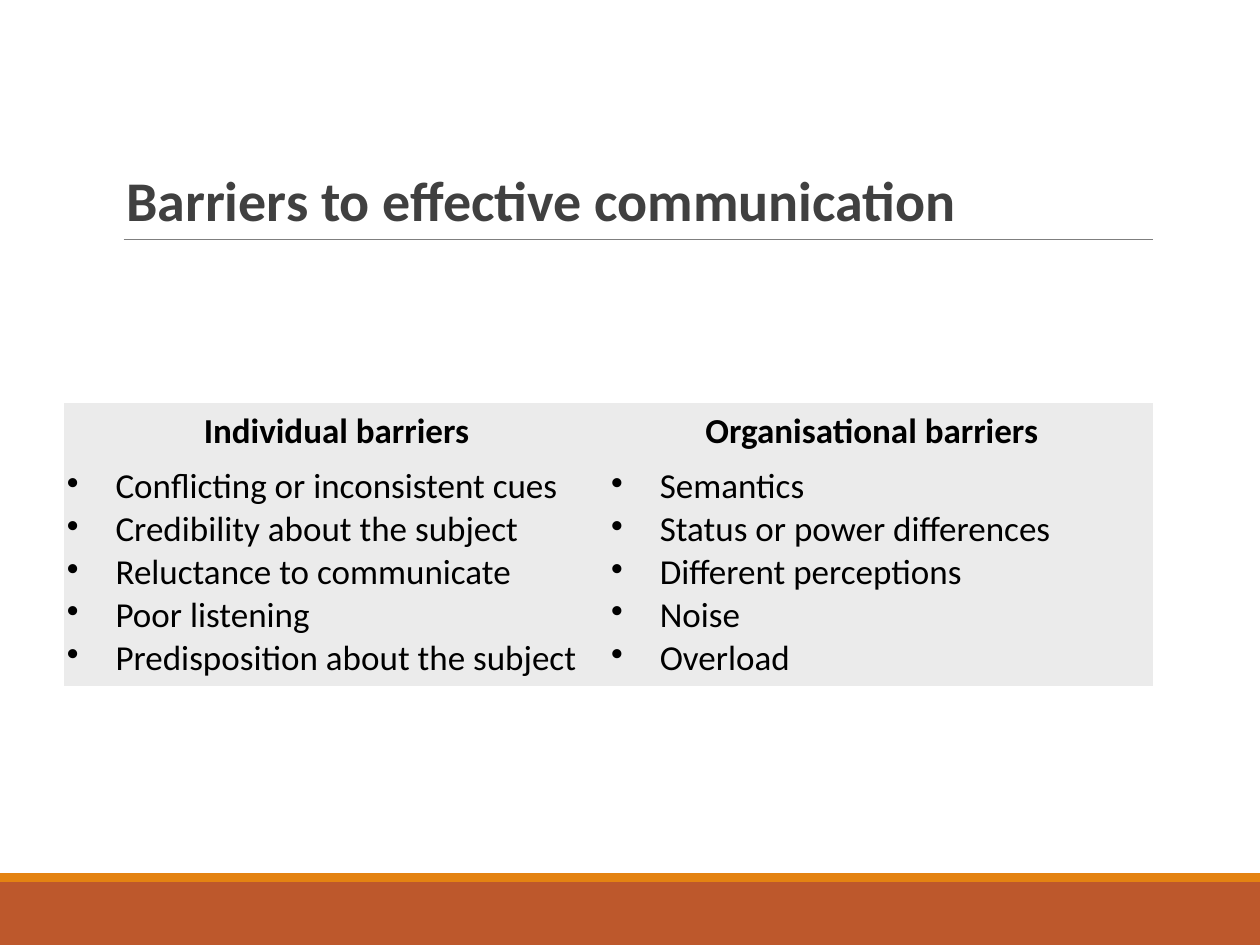
from lxml.etree import SubElement
from pptx import Presentation
from pptx.dml.color import RGBColor
from pptx.enum.shapes import MSO_CONNECTOR as Connector, MSO_SHAPE as Shape
from pptx.enum.text import MSO_ANCHOR as Anchor, MSO_AUTO_SIZE as AutoSize, PP_ALIGN as Align
from pptx.oxml.ns import qn
from pptx.util import Cm, Pt

NO_GRID_STYLE = "{2D5ABB26-0587-4C30-8999-92F81FD0307C}"
BARRIERS = {
    "Individual barriers": [
        "Conflicting or inconsistent cues",
        "Credibility about the subject",
        "Reluctance to communicate",
        "Poor listening",
        "Predisposition about the subject",
    ],
    "Organisational barriers": [
        "Semantics",
        "Status or power differences",
        "Different perceptions",
        "Noise",
        "Overload",
    ],
}


def color(value):
    return RGBColor.from_string(value)


class SlideBuilder:
    font = "Calibri"
    text_color = "000000"
    cell_fill = "EBEBEB"
    bullet_indent = Cm(0.98)

    def __init__(self, presentation):
        self.slide = presentation.slides.add_slide(presentation.slide_layouts[5])

    def run(self, paragraph, text, size, bold=False, text_color=None):
        run = paragraph.add_run()
        run.text = text
        run.font.name = self.font
        run.font.size = Pt(size)
        run.font.bold = bold
        run.font.color.rgb = color(text_color or self.text_color)

    def title(self, text, left, top, width, height):
        shape = self.slide.shapes.title
        shape.left, shape.top = Cm(left), Cm(top)
        shape.width, shape.height = Cm(width), Cm(height)
        frame = shape.text_frame
        frame.auto_size = AutoSize.NONE
        frame.vertical_anchor = Anchor.BOTTOM
        paragraph = frame.paragraphs[0]
        paragraph.alignment = Align.LEFT
        paragraph.line_spacing = 0.85
        self.run(paragraph, text, 32, True, "404040")

    def band(self, top, height, fill):
        shape = self.slide.shapes.add_shape(Shape.RECTANGLE, 0, Cm(top), Cm(25.4), Cm(height))
        shape.shadow.inherit = False
        shape.fill.solid()
        shape.fill.fore_color.rgb = color(fill)
        shape.line.fill.background()

    def rule(self, left, right, top):
        line = self.slide.shapes.add_connector(
            Connector.STRAIGHT, Cm(left), Cm(top), Cm(right), Cm(top))
        line.line.color.rgb = color("7F7F7F")
        line.line.width = Pt(0.5)
        SubElement(line._element.spPr, qn("a:effectLst"))

    def bullet(self, paragraph):
        properties = paragraph._p.get_or_add_pPr()
        properties.set("marL", str(self.bullet_indent))
        properties.set("indent", str(-self.bullet_indent))
        SubElement(properties, qn("a:buChar")).set("char", "•")

    def cell(self, cell, lines, heading=False):
        cell.fill.solid()
        cell.fill.fore_color.rgb = color(self.cell_fill)
        cell.vertical_anchor = Anchor.MIDDLE
        cell.margin_left = cell.margin_right = Cm(0.05)
        cell.margin_top = cell.margin_bottom = Cm(0.13)
        frame = cell.text_frame
        for index, text in enumerate(lines):
            paragraph = frame.add_paragraph() if index else frame.paragraphs[0]
            if heading:
                paragraph.alignment = Align.CENTER
            else:
                self.bullet(paragraph)
            self.run(paragraph, text, 20, heading)

    def table(self, columns, left, top, width, row_heights):
        frame = self.slide.shapes.add_table(
            len(row_heights), len(columns), Cm(left), Cm(top), Cm(width), Cm(sum(row_heights)))
        table = frame.table
        table.first_row = table.horz_banding = False
        table._tbl.tblPr.find(qn("a:tableStyleId")).text = NO_GRID_STYLE
        for row, height in zip(table.rows, row_heights):
            row.height = Cm(height)
        for index, (heading, items) in enumerate(columns.items()):
            self.cell(table.cell(0, index), [heading], heading=True)
            self.cell(table.cell(1, index), items)
        return table


def main():
    presentation = Presentation()
    presentation.slide_width, presentation.slide_height = Cm(25.4), Cm(19.05)
    builder = SlideBuilder(presentation)
    builder.band(17.78, 1.27, "BD582C")
    builder.band(17.6, 0.18, "E48312")
    builder.rule(2.49, 23.24, 4.83)
    builder.title("Barriers to effective communication", 2.29, 0.79, 20.95, 4.04)
    table = builder.table(BARRIERS, 1.3, 8.13, 21.94, [0.94, 4.32])
    table.cell(0, 1).margin_right = Cm(0.41)
    presentation.save("out.pptx")


if __name__ == "__main__":
    main()
